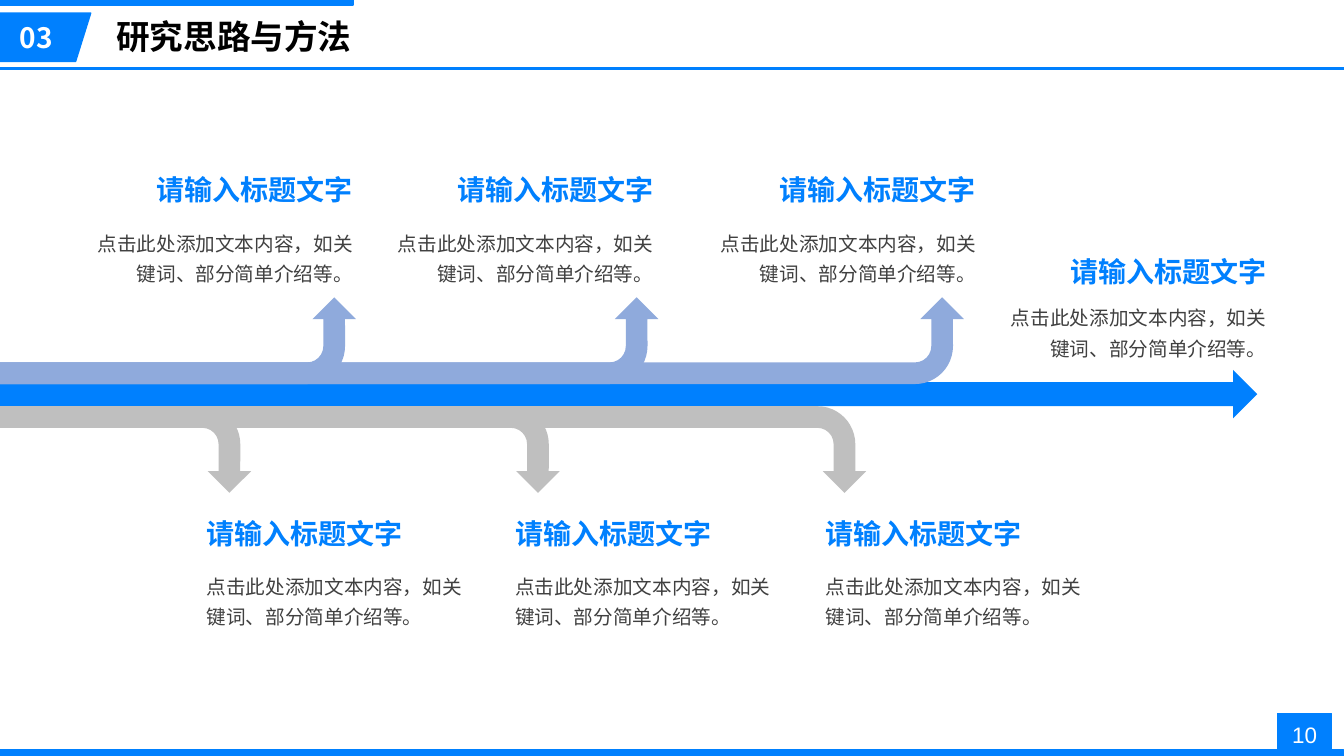
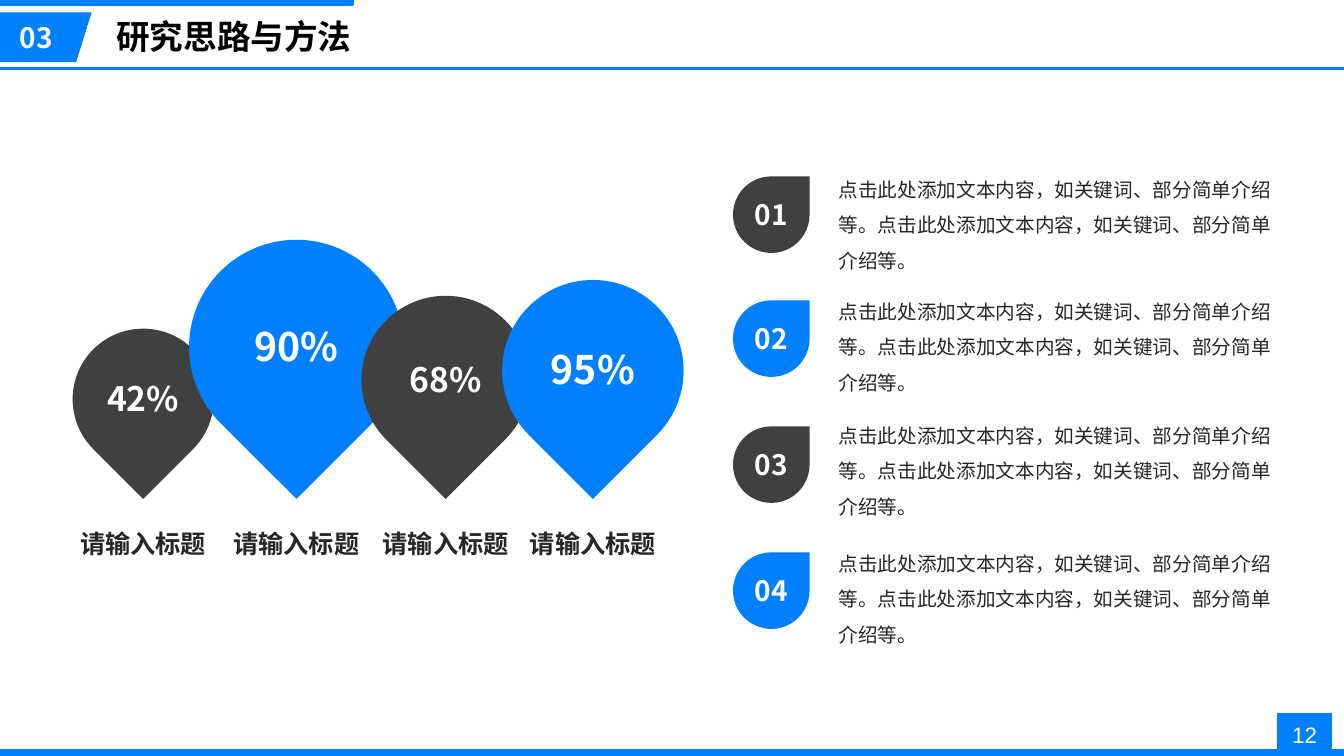
from math import sqrt
from pptx import Presentation
from pptx.dml.color import RGBColor
from pptx.enum.shapes import MSO_CONNECTOR, MSO_SHAPE
from pptx.enum.text import MSO_ANCHOR, MSO_AUTO_SIZE, PP_ALIGN
from pptx.util import Inches, Pt
from lxml.etree import SubElement
from pptx.oxml.ns import qn

BLUE, PALE, GRAY = "0080FE", "8FAADC", "BFBFBF"
DARK, INK, WHITE, BLACK = "404040", "262626", "FFFFFF", "000000"
SANS, GEO, PLAIN = "Noto Sans CJK SC", "TeX Gyre Adventor", "Arial"
LEFT, MID, RIGHT = PP_ALIGN.LEFT, PP_ALIGN.CENTER, PP_ALIGN.RIGHT
HEAD = "请输入标题文字"
BODY = "点击此处添加文本内容，如关键词、部分简单介绍等。"


def color(code):
    return RGBColor.from_string(code)


class Deck:
    def __init__(self):
        self.file = Presentation()
        self.file.slide_width = Inches(13.33)
        self.file.slide_height = Inches(7.5)
        self.slide = None

    def paint(self, shape, fill, line=0):
        shape.shadow.inherit = False
        shape.fill.solid()
        shape.fill.fore_color.rgb = color(fill)
        if line:
            shape.line.color.rgb = color(fill)
            shape.line.width = Pt(line)
        else:
            shape.line.fill.background()
        return shape

    def shape(self, kind, x, y, w, h, fill, line=0, turn=0):
        shape = self.slide.shapes.add_shape(
            kind, Inches(x), Inches(y), Inches(w), Inches(h))
        shape.rotation = turn
        return self.paint(shape, fill, line)

    def label(self, shape, text, size, ink, face=SANS, bold=False,
              align=MID, gap=None, anchor=MSO_ANCHOR.TOP):
        frame = shape.text_frame
        frame.text = text
        frame.word_wrap = True
        frame.auto_size = MSO_AUTO_SIZE.NONE
        frame.vertical_anchor = anchor
        for par in frame.paragraphs:
            par.alignment = align
            if gap:
                par.line_spacing = gap
            for run in par.runs:
                font = run.font
                font.size, font.bold, font.name = Pt(size), bold, face
                font.color.rgb = color(ink)
                east = SubElement(run._r.get_or_add_rPr(), qn("a:ea"))
                east.set("typeface", face)

    def text(self, x, y, w, h, *words, **style):
        box = self.slide.shapes.add_textbox(
            Inches(x), Inches(y), Inches(w), Inches(h))
        self.label(box, *words, **style)

    def rule(self, y):
        line = self.slide.shapes.add_connector(
            MSO_CONNECTOR.STRAIGHT, 0, Inches(y), self.file.slide_width, Inches(y))
        line.line.color.rgb = color(BLUE)
        line.line.width = Pt(2)
        SubElement(line._element.spPr, qn("a:effectLst"))

    def tab(self, part):
        points = [(Inches(x), Inches(y)) for x, y in
                  [(0.9, 0.13), (0.75, 0.61), (0, 0.61)]]
        form = self.slide.shapes.build_freeform(0, Inches(0.13))
        form.add_line_segments(points, close=True)
        self.paint(form.convert_to_shape(), BLUE, 1)
        self.text(0, 0.15, 0.72, 0.44, part, 20, WHITE, bold=True)

    def page(self, part, title, number):
        self.slide = self.file.slides.add_slide(self.file.slide_layouts[5])
        name = self.slide.shapes.title
        name.left, name.top = Inches(1.03), Inches(0.11)
        name.width, name.height = Inches(2.58), Inches(0.5)
        self.label(name, title, 24, BLACK, bold=True)
        badge = self.shape(MSO_SHAPE.RECTANGLE, 12.67, 7.08, 0.54, 0.42, BLUE, 0.75)
        self.label(badge, number, 16, WHITE, PLAIN, anchor=MSO_ANCHOR.MIDDLE)
        self.shape(MSO_SHAPE.RECTANGLE, 0, 7.44, 13.33, 0.06, BLUE, 0.75)
        self.shape(MSO_SHAPE.RECTANGLE, 0, 0, 3.5, 0.05, BLUE, 1)
        self.rule(0.68)
        self.tab(part)

    def branch(self, end, top, fill, rise):
        deep = 0.86
        bend = self.shape(MSO_SHAPE.BENT_ARROW, (end - deep) / 2,
                          top + (deep - end) / 2, deep, end, fill, turn=90)
        if rise:
            bend._element.spPr.get_or_add_xfrm().set("flipH", "1")

    def note(self, x, y, drop, align):
        self.text(x, y, 2.88, 0.44, HEAD, 20, BLUE, face=GEO, bold=True, align=align)
        self.text(x, y + drop, 2.88, 0.71, BODY, 14, DARK,
                  face=GEO, align=align, gap=1.3)

    def drop(self, x, y, size, fill, label, points, turn=0):
        self.shape(MSO_SHAPE.TEAR, x - size / 2, y - size / 2,
                   size, size, fill, turn=turn)
        high = points / 50 + 0.04
        self.text(x - 0.61, y - high / 2, 1.22, high, label, points, WHITE, bold=True)


def flow(deck):
    deck.page("03", "研究思路与方法", "10")
    deck.shape(MSO_SHAPE.RIGHT_ARROW, 0, 3.67, 12.47, 0.48, BLUE)
    for end, x in [(9.56, 6.9), (6.53, 3.7), (3.53, 0.72)]:
        deck.branch(end, 2.95, PALE, True)
        deck.note(x, 1.66, 0.52, RIGHT)
    deck.note(9.78, 2.48, 0.44, RIGHT)
    for end, x in [(8.59, 8.09), (5.55, 5.01), (2.49, 1.95)]:
        deck.branch(end, 4.03, GRAY, False)
        deck.note(x, 5.07, 0.51, LEFT)


def rates(deck):
    deck.page("03", "研究思路与方法", "12")
    pins = [(1.42, 1.4, DARK, "42%", 24), (2.94, 2.13, BLUE, "90%", 28),
            (4.42, 1.67, DARK, "68%", 24), (5.88, 1.8, BLUE, "95%", 28)]
    for x, size, fill, label, points in pins:
        deck.drop(x, 4.95 - size / sqrt(2), size, fill, label, points, 135)
        deck.text(x - 0.73, 5.19, 1.46, 0.4, "请输入标题", 18, INK, bold=True)
    rows = [(2.13, 1.6), (3.36, 2.81), (4.61, 4.04), (5.86, 5.31)]
    for i, (y, top) in enumerate(rows):
        deck.drop(7.65, y, 0.76, (DARK, BLUE)[i % 2], f"{i + 1:02}", 20)
        deck.text(8.22, top, 4.5, 1.15, BODY * 2, 14, INK, align=LEFT, gap=1.5)


def main():
    deck = Deck()
    flow(deck)
    rates(deck)
    deck.file.save("out.pptx")


if __name__ == "__main__":
    main()
